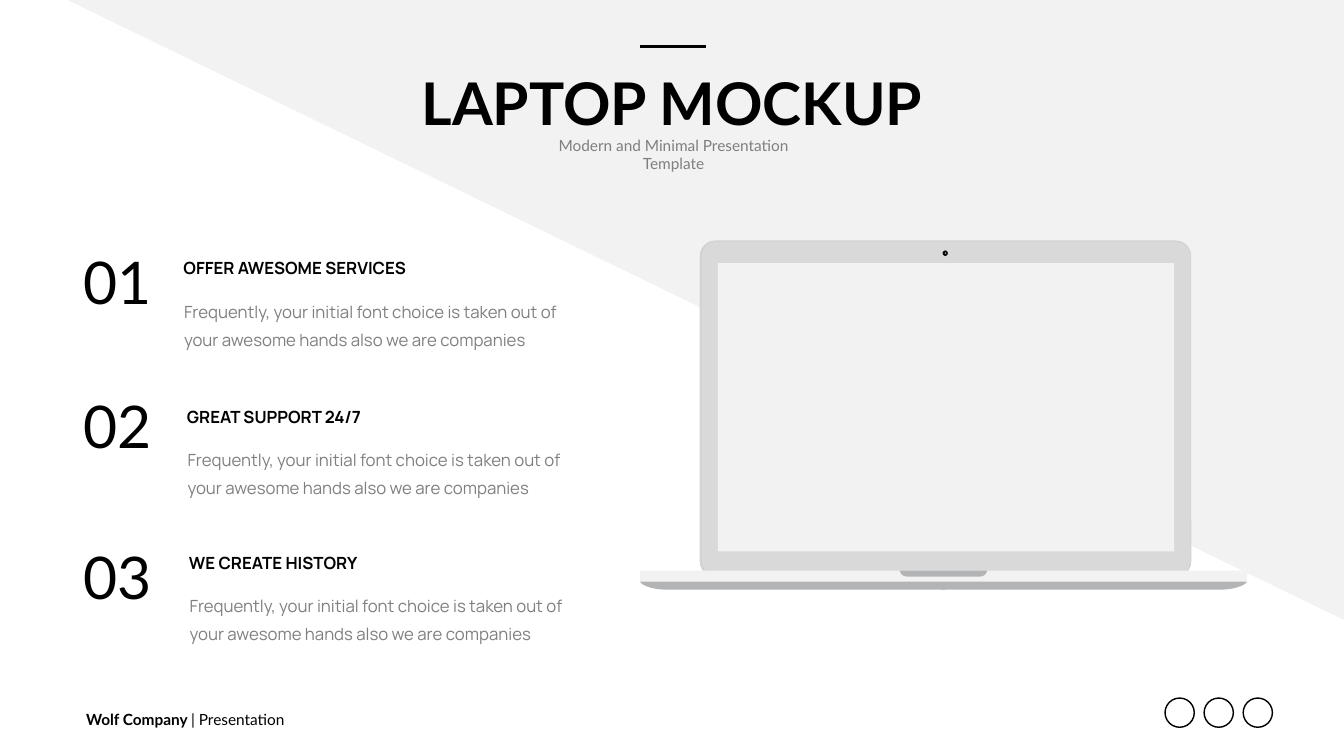
"""Build a laptop mockup slide with three numbered service points."""
from lxml.etree import SubElement
from pptx import Presentation
from pptx.dml.color import RGBColor
from pptx.enum.shapes import MSO_CONNECTOR as Connector, MSO_SHAPE as Preset
from pptx.enum.text import MSO_ANCHOR as Anchor, MSO_AUTO_SIZE as AutoSize, PP_ALIGN as Align
from pptx.oxml.ns import qn
from pptx.util import Inches, Pt

BLACK, GREY, PALE, SILVER, STEEL = "000000", "7F7F7F", "F2F2F2", "D9D9D9", "B3B4B5"
BODY = "Frequently, your initial font choice is taken out of your awesome hands also we are companies"
MIRROR = 37.43


def colour(value):
    return RGBColor.from_string(value)


def curve(start, first, second, end, steps=12):
    points = []
    for step in range(steps + 1):
        t = step / steps
        weights = ((1 - t) ** 3, 3 * t * (1 - t) ** 2, 3 * t * t * (1 - t), t ** 3)
        corners = (start, first, second, end)
        points.append(tuple(sum(w * c[axis] for w, c in zip(weights, corners)) for axis in (0, 1)))
    return points


def mirrored(points):
    return [(MIRROR - x, y) for x, y in reversed(points)]


class Sketch:
    head_font = "Lato"
    body_font = "Manrope"

    def __init__(self, page):
        self.page = page
        self.shapes = page.shapes

    def open_group(self):
        self.shapes = self.page.shapes.add_group_shape().shapes

    def close_group(self):
        self.shapes = self.page.shapes

    def paint(self, shape, fill):
        shape.shadow.inherit = False
        shape.fill.solid()
        shape.fill.fore_color.rgb = colour(fill)
        shape.line.fill.background()
        return shape

    def shape(self, preset, left, top, width, height, fill):
        shape = self.shapes.add_shape(preset, *map(Inches, (left, top, width, height)))
        return self.paint(shape, fill)

    def rounded(self, left, top, width, height, radius, fill):
        shape = self.shape(Preset.ROUNDED_RECTANGLE, left, top, width, height, fill)
        shape.adjustments[0] = radius / min(width, height)

    def ring(self, left, top, size):
        shape = self.shapes.add_shape(Preset.OVAL, *map(Inches, (left, top, size, size)))
        shape.shadow.inherit = False
        shape.fill.background()
        shape.line.color.rgb = colour(BLACK)
        shape.line.width = Pt(2)

    def outline(self, points, fill):
        corners = [(Inches(x), Inches(y)) for x, y in points]
        builder = self.shapes.build_freeform(*corners[0])
        builder.add_line_segments(corners[1:], close=True)
        self.paint(builder.convert_to_shape(), fill)

    def line(self, start, end, width):
        line = self.shapes.add_connector(Connector.STRAIGHT, *map(Inches, (*start, *end)))
        line.line.color.rgb = colour(BLACK)
        line.line.width = Pt(width)
        SubElement(line._element.spPr, qn("a:effectLst"))

    def text(self, left, top, width, height, spans, size, font=head_font, fill=BLACK,
             align=Align.LEFT, anchor=Anchor.TOP, wrap=False, insets=(0.1, 0.05), spacing=None):
        box = self.shapes.add_textbox(*map(Inches, (left, top, width, height)))
        frame = box.text_frame
        frame.word_wrap = wrap
        frame.auto_size = AutoSize.SHAPE_TO_FIT_TEXT
        frame.vertical_anchor = anchor
        frame.margin_left = frame.margin_right = Inches(insets[0])
        frame.margin_top = frame.margin_bottom = Inches(insets[1])
        para = frame.paragraphs[0]
        para.alignment = align
        if spacing:
            para.line_spacing = Pt(spacing)
        for words, bold in spans:
            span = para.add_run()
            span.text = words
            span.font.name = font
            span.font.size = Pt(size)
            span.font.bold = bold
            span.font.color.rgb = colour(fill)

    def laptop(self):
        self.open_group()
        tray = curve((12.7, 11.54), (12.7, 11.59), (12.9, 11.7), (13.23, 11.7))
        tray += [(18.76, 11.7), (18.76, 11.43), (12.7, 11.43)]
        self.outline(tray, STEEL)
        self.outline(mirrored(tray), STEEL)
        self.rounded(13.88, 4.77, 9.75, 6.68, 0.31, "D2D3D5")
        self.rounded(13.92, 4.8, 9.69, 6.61, 0.28, SILVER)
        self.shape(Preset.RECTANGLE, 12.7, 11.32, 12.04, 0.22, PALE)
        notch = curve((17.85, 11.32), (17.86, 11.39), (17.92, 11.44), (18, 11.44))
        self.outline(notch + mirrored(notch), STEEL)
        self.shape(Preset.RECTANGLE, 14.24, 5.22, 9.05, 5.72, PALE)
        camera = ((18.7, 4.98, 0.1, 0.1, "2C2C2C"), (18.7, 4.97, 0.1, 0.1, "0A0A0A"),
                  (18.72, 4.99, 0.06, 0.07, BLACK), (18.74, 5.01, 0.03, 0.03, "2C99B4"))
        for lens in camera:
            self.shape(Preset.OVAL, *lens)
        self.outline([(18.76, 5.01), (18.76, 5.03), (18.75, 5.02)], "FFFFFF")
        self.close_group()

    def point(self, number, number_top, left, top, width, heading):
        self.text(left - 0.13, top + 0.63, 8.35, 1.36, [(BODY, False)], 24, self.body_font, GREY,
                  wrap=True, insets=(0.24, 0.12), spacing=40.4)
        self.text(left, top, width, 0.5, [(heading, True)], 24, self.body_font,
                  anchor=Anchor.MIDDLE)
        self.text(1.55, number_top, 1.57, 1.51, [(number, False)], 84, align=Align.CENTER)


def main():
    deck = Presentation()
    deck.slide_width, deck.slide_height = Inches(26.66), Inches(15)
    sketch = Sketch(deck.slides.add_slide(deck.slide_layouts[6]))

    sketch.text(1.61, 14.03, 4.17, 0.47, [("Wolf Company ", True), ("| Presentation", False)], 22,
                anchor=Anchor.MIDDLE)
    for index in range(3):
        sketch.ring(23.11 + index * 0.775, 13.85, 0.58)

    backdrop = sketch.shape(Preset.RIGHT_TRIANGLE, 1.34, 0, 25.32, 12.3, PALE)
    backdrop.rotation = 180
    sketch.laptop()

    sketch.text(8.18, 1.28, 10.3, 1.51, [("LAPTOP MOCKUP", True)], 84, align=Align.CENTER)
    sketch.text(10.38, 2.69, 5.96, 0.74, [("Modern and Minimal Presentation Template", False)], 22,
                fill=GREY, align=Align.CENTER, anchor=Anchor.MIDDLE, wrap=True)
    sketch.line((12.7, 0.92), (14, 0.92), 4.5)

    sketch.point("01", 4.82, 3.54, 5.07, 4.77, "OFFER AWESOME SERVICES")
    sketch.point("02", 7.69, 3.61, 8.01, 3.81, "GREAT SUPPORT 24/7")
    sketch.point("03", 10.67, 3.65, 10.91, 3.66, "WE CREATE HISTORY")
    deck.save("out.pptx")


if __name__ == "__main__":
    main()
